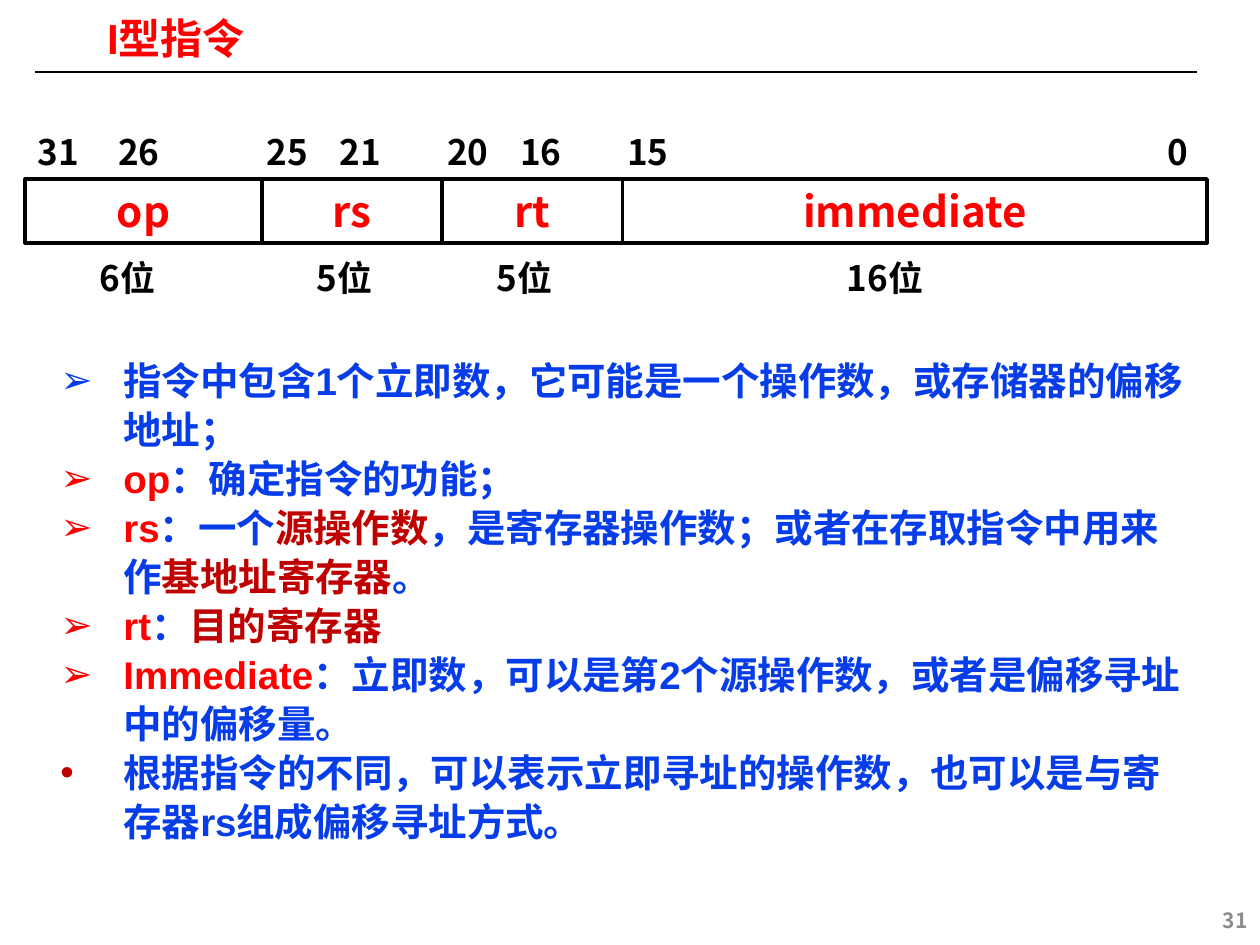
from lxml.etree import SubElement
from pptx import Presentation
from pptx.dml.color import RGBColor
from pptx.enum.shapes import MSO_CONNECTOR as Connector, MSO_SHAPE as Shape
from pptx.enum.text import MSO_ANCHOR as Anchor, MSO_AUTO_SIZE as AutoSize, PP_ALIGN as Align
from pptx.oxml.ns import qn
from pptx.util import Inches, Pt

LATIN, CJK = "Arial", "Noto Sans CJK SC"
BLACK, RED, BLUE, DARK_RED, GREY = "000000", "FF0000", "063DE8", "C00000", "8C8C8C"

FIELDS = [("op", 0.2, 1.88), ("rs", 2.08, 1.43), ("rt", 3.51, 1.43), ("immediate", 4.94, 4.64)]
WIDTHS = [("6位", 0, 2.02), ("5位", 2.02, 1.43), ("5位", 3.45, 1.43), ("16位", 6.31, 1.43)]
BIT_RANGES = [("31\t26", 0.2, 1.88, 0.64), ("25\t21", 2.02, 1.43, 0.58), ("20\t16", 3.45, 1.43, 0.58)]
NOTES = [
    [("指令中包含1个立即数，它可能是一个操作数，或存储器的偏移地址；", BLUE)],
    [("op", RED), ("：确定指令的功能；", BLUE)],
    [("rs", RED), ("：一个", BLUE), ("源操作数", DARK_RED),
     ("，是寄存器操作数；或者在存取指令中用来作", BLUE), ("基地址寄存器", DARK_RED), ("。", BLUE)],
    [("rt", RED), ("：", BLUE), ("目的寄存器", DARK_RED)],
    [("Immediate", RED), ("：立即数，可以是第2个源操作数，或者是偏移寻址中的偏移量。", BLUE)],
    [("根据指令的不同，可以表示立即寻址的操作数，也可以是与寄存器rs组成偏移寻址方式。", BLUE)],
]


def color(value):
    """Turn a hex string into a colour."""
    return RGBColor.from_string(value)


def style(font, name, size, value):
    """Apply a bold face, its size and its colour."""
    font.name, font.size, font.bold = name, Pt(size), True
    font.color.rgb = color(value)


def set_frame(frame, anchor, side, top):
    """Set wrapping, anchoring and margins of a text frame."""
    frame.word_wrap = True
    frame.auto_size = AutoSize.NONE
    frame.vertical_anchor = anchor
    frame.margin_left = frame.margin_right = Inches(side)
    frame.margin_top = frame.margin_bottom = Inches(top)


def write_line(shape, text, size, value, align):
    """Write one line of diagram text, centred vertically."""
    set_frame(shape.text_frame, Anchor.MIDDLE, 0.1, 0.05)
    para = shape.text_frame.paragraphs[0]
    para.text = text
    para.alignment = align
    style(para.runs[0].font, CJK, size, value)
    return para


def add_label(page, text, left, top, width, align, height=0.51, size=20, value=BLACK):
    """Add a one-line label."""
    box = page.shapes.add_textbox(Inches(left), Inches(top), Inches(width), Inches(height))
    return write_line(box, text, size, value, align)


def add_tab(para, position):
    """Add a left tab stop to a paragraph."""
    tabs = SubElement(para._p.get_or_add_pPr(), qn("a:tabLst"))
    SubElement(tabs, qn("a:tab"), pos=str(Inches(position)), algn="l")


def add_bullet(para, char, value=None):
    """Add a hanging bullet to a paragraph."""
    props = para._p.get_or_add_pPr()
    props.set("marL", str(Inches(0.5)))
    props.set("indent", str(Inches(-0.5)))
    if value:
        SubElement(SubElement(props, qn("a:buClr")), qn("a:srgbClr"), val=value)
    SubElement(props, qn("a:buFont"), typeface=LATIN)
    SubElement(props, qn("a:buChar"), char=char)


def add_title(page):
    """Place the title and the rule below it."""
    title = page.shapes.title
    title.left, title.top = Inches(0.78), Inches(0.12)
    title.width, title.height = Inches(8.6), Inches(0.41)
    title.text_frame.text = "I型指令"
    set_frame(title.text_frame, Anchor.MIDDLE, 0.07, 0.03)
    para = title.text_frame.paragraphs[0]
    para.alignment = Align.LEFT
    para.line_spacing = 0.87
    style(para.runs[0].font, LATIN, 24, RED)
    rule = page.shapes.add_connector(
        Connector.STRAIGHT, Inches(0.28), Inches(0.57), Inches(9.5), Inches(0.57))
    rule.line.color.rgb = color(BLACK)
    rule.line.width = Pt(1)
    SubElement(rule._element.spPr, qn("a:effectLst"))


def add_field(page, name, left, width):
    """Add one field of the instruction word."""
    field = page.shapes.add_shape(
        Shape.RECTANGLE, Inches(left), Inches(1.42), Inches(width), Inches(0.51))
    field.shadow.inherit = False
    field.fill.solid()
    field.fill.fore_color.rgb = color("FFFFFF")
    field.line.color.rgb = color(BLACK)
    field.line.width = Pt(2)
    write_line(field, name, 24, RED, Align.CENTER)


def add_notes(page):
    """Add the bulleted explanation of the fields."""
    box = page.shapes.add_textbox(Inches(0.37), Inches(2.76), Inches(9.14), Inches(4.04))
    frame = box.text_frame
    set_frame(frame, Anchor.TOP, 0.11, 0.05)
    for index, parts in enumerate(NOTES):
        para = frame.add_paragraph() if index else frame.paragraphs[0]
        if index == len(NOTES) - 1:
            add_bullet(para, "•", DARK_RED)
        else:
            add_bullet(para, "➢")
        para.line_spacing = Pt(28)
        for text, value in parts:
            span = para.add_run()
            span.text = text
            style(span.font, LATIN, 22, value)


def main():
    """Build the slide and save it."""
    deck = Presentation()
    deck.slide_width, deck.slide_height = Inches(10), Inches(7.5)
    page = deck.slides.add_slide(deck.slide_layouts[5])
    add_title(page)
    add_notes(page)
    for name, left, width in FIELDS:
        add_field(page, name, left, width)
    for text, left, width in WIDTHS:
        add_label(page, text, left, 1.95, width, Align.CENTER)
    for text, left, width, tab in BIT_RANGES:
        add_tab(add_label(page, text, left, 0.95, width, Align.LEFT), tab)
    add_label(page, "15", 4.88, 0.95, 1.43, Align.LEFT)
    add_label(page, "0", 7.74, 0.95, 1.79, Align.RIGHT)
    add_label(page, "31", 7.75, 7.1, 2.25, Align.RIGHT, height=0.4, size=12, value=GREY)
    deck.save("out.pptx")


if __name__ == "__main__":
    main()
